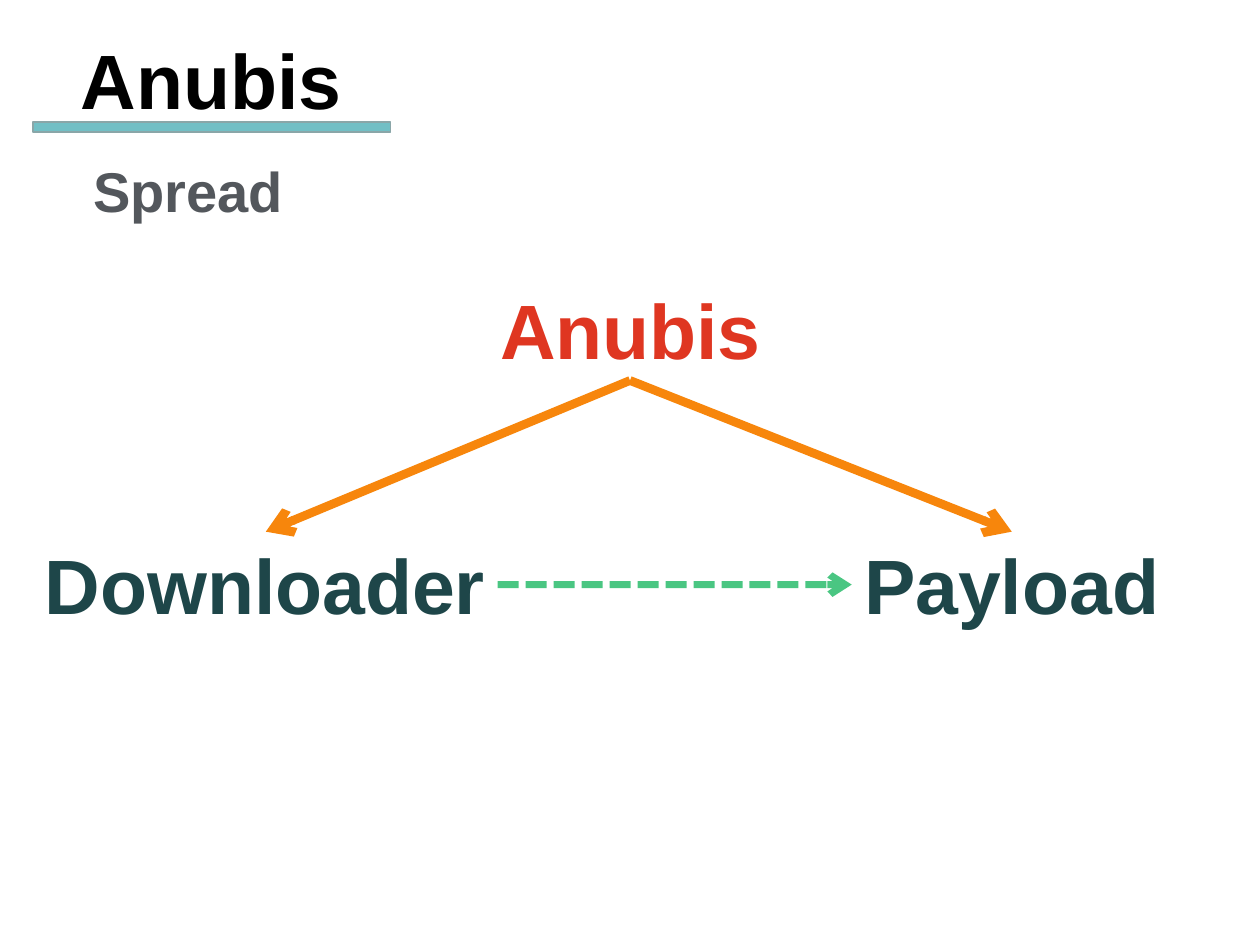
"""Builds the Anubis spread slide."""
from pptx import Presentation
from pptx.dml.color import RGBColor
from pptx.enum.dml import MSO_LINE as Dash
from pptx.enum.shapes import MSO_CONNECTOR as Conn, MSO_SHAPE as Shape
from pptx.enum.text import MSO_AUTO_SIZE as Fit, PP_ALIGN as Align
from pptx.oxml.ns import qn
from pptx.util import Inches, Pt
from lxml.etree import SubElement

BLACK = RGBColor(0x00, 0x00, 0x00)
GRAY = RGBColor(0x53, 0x57, 0x5C)
RED = RGBColor(0xDF, 0x36, 0x21)
TEAL = RGBColor(0x1E, 0x46, 0x49)
AQUA = RGBColor(0x72, 0xBF, 0xC5)
EDGE = RGBColor(0x8A, 0xA6, 0xA8)
ORANGE = RGBColor(0xF7, 0x86, 0x0C)
GREEN = RGBColor(0x00, 0xB0, 0x50)

deck = Presentation()
deck.slide_width, deck.slide_height = Inches(10), Inches(7.5)
slide = deck.slides.add_slide(deck.slide_layouts[6])


def add_text(text, left, top, width, height=0.84, size=44, color=BLACK):
    box = slide.shapes.add_textbox(
        Inches(left), Inches(top), Inches(width), Inches(height))
    frame = box.text_frame
    frame.word_wrap = False
    frame.auto_size = Fit.SHAPE_TO_FIT_TEXT
    para = frame.paragraphs[0]
    para.alignment = Align.CENTER
    run = para.add_run()
    run.text = text
    font = run.font
    font.name, font.size, font.bold = "Arial", Pt(size), True
    font.color.rgb = color


def add_arrow(start, end, color, width):
    arrow = slide.shapes.add_connector(
        Conn.STRAIGHT, *[Inches(v) for v in start + end])
    arrow.line.color.rgb = color
    arrow.line.width = Pt(width)
    SubElement(arrow.line._get_or_add_ln(), qn("a:tailEnd"), type="arrow")
    SubElement(arrow._element.spPr, qn("a:effectLst"))
    return arrow


add_text("Anubis", 0.54, 0.21, 2.27)

bar = slide.shapes.add_shape(
    Shape.RECTANGLE, Inches(0.26), Inches(0.97), Inches(2.84), Inches(0.08))
bar.shadow.inherit = False
bar.fill.solid()
bar.fill.fore_color.rgb = AQUA
bar.line.color.rgb = EDGE
bar.line.width = Pt(1)

add_text("Spread", 0.64, 1.19, 1.71, height=0.64, size=32, color=GRAY)
add_text("Anubis", 3.87, 2.19, 2.27, color=RED)
add_text("Downloader", 0.25, 4.22, 3.71, color=TEAL)
add_text("Payload", 6.74, 4.22, 2.58, color=TEAL)

for x in (2.11, 8.03):
    add_arrow((5, 3.02), (x, 4.22), ORANGE, 5)

link = add_arrow((3.95, 4.64), (6.76, 4.64), GREEN, 4)
link.line.dash_style = Dash.SQUARE_DOT
ln = link.line._get_or_add_ln()
ln.find(qn("a:prstDash")).set("val", "sysDash")
SubElement(ln.find(".//" + qn("a:srgbClr")), qn("a:alpha"), val="71000")

deck.save("out.pptx")
